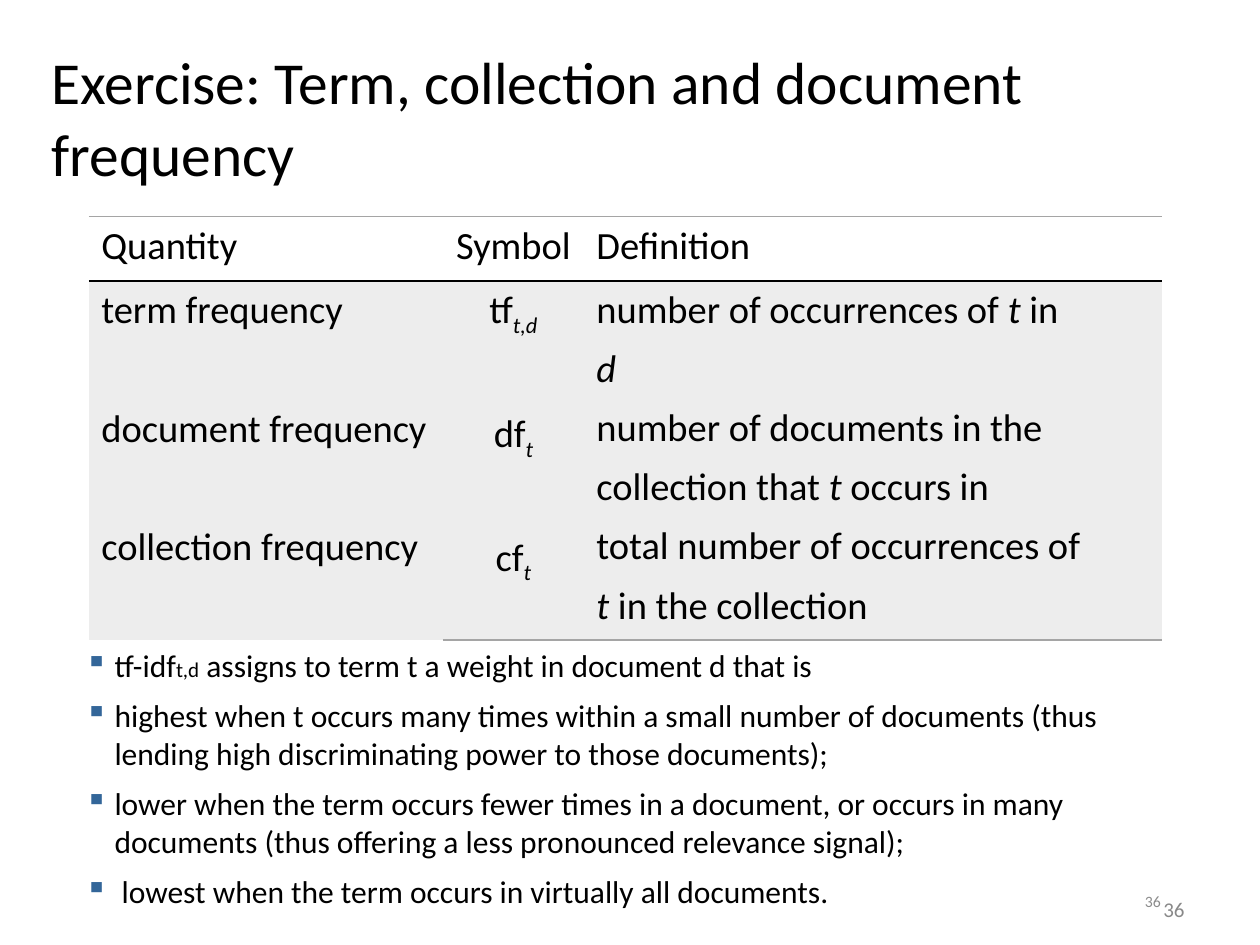
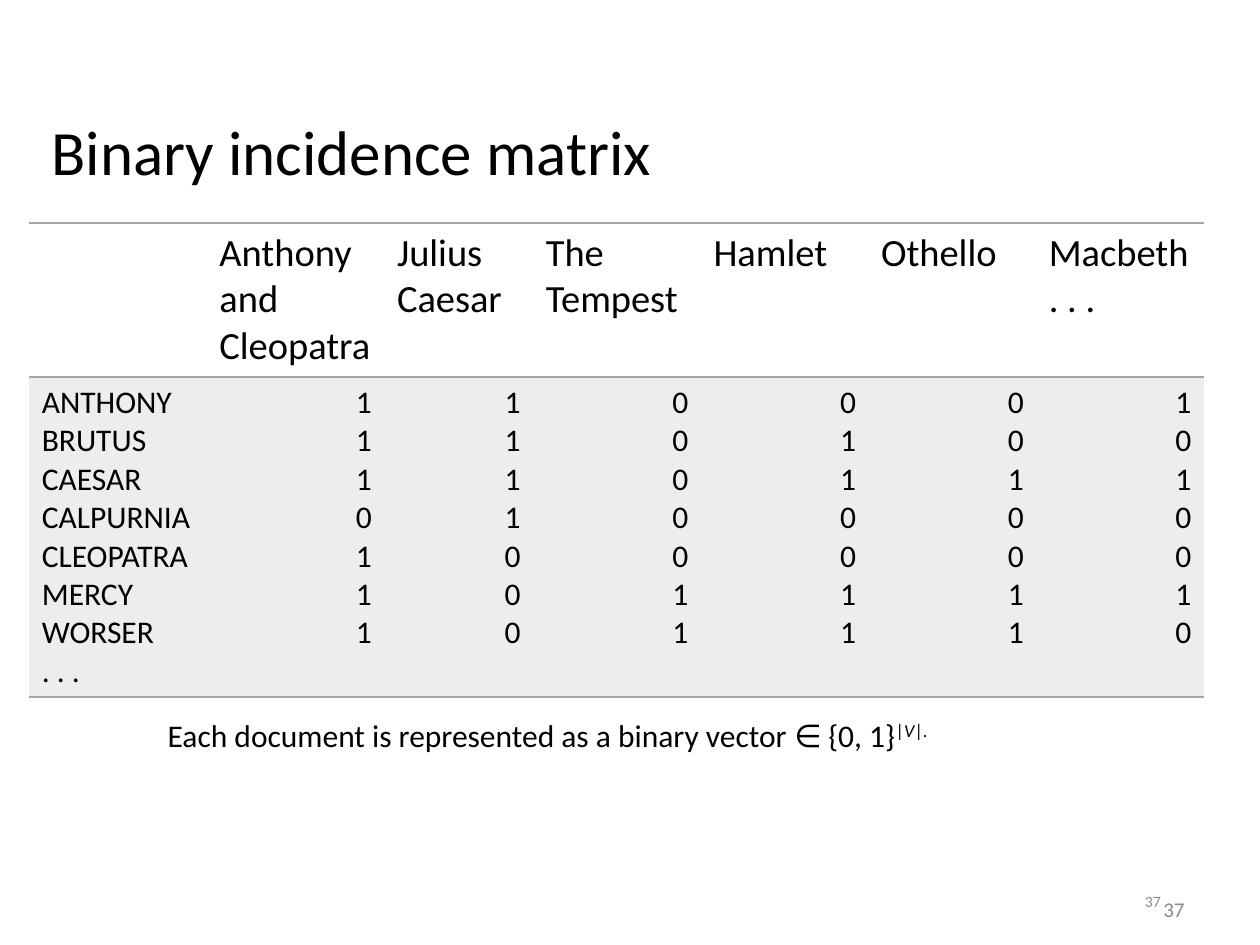
from dataclasses import dataclass

from lxml import etree
from pptx import Presentation
from pptx.dml.color import RGBColor
from pptx.enum.text import MSO_ANCHOR, PP_ALIGN
from pptx.oxml.ns import qn
from pptx.util import Cm, Pt

LEFT, CENTER, RIGHT = PP_ALIGN.LEFT, PP_ALIGN.CENTER, PP_ALIGN.RIGHT
TOP, MIDDLE, BOTTOM = MSO_ANCHOR.TOP, MSO_ANCHOR.MIDDLE, MSO_ANCHOR.BOTTOM

FONT = "Calibri"
BLACK, GREY, BAND = "000000", "A5A5A5", "EDEDED"
NUMBER_GREY, SMALL_NUMBER_GREY, BULLET_BLUE = "898989", "8C8C8C", "336699"
SUBSCRIPT, SUPERSCRIPT = -25, 30


@dataclass
class Area:
    left: float
    top: float
    width: float
    height: float

    def lengths(self) -> list:
        return [Cm(value) for value in (self.left, self.top, self.width, self.height)]


@dataclass
class Span:
    text: str
    italic: bool = False
    baseline: int = 0
    size: float = 0


@dataclass
class Cell:
    lines: list
    size: float = 22
    align: PP_ALIGN = LEFT
    gap: float = 0
    fill: str = ""
    top: str = ""
    bottom: str = ""


def colour(code: str) -> RGBColor:
    return RGBColor.from_string(code)


# Text
def add_bullet(para, margin: float, hang: float) -> None:
    properties = para._p.get_or_add_pPr()
    properties.set("marL", str(Cm(margin)))
    properties.set("indent", str(-Cm(hang)))
    tint = etree.SubElement(properties, qn("a:buClr"))
    etree.SubElement(tint, qn("a:srgbClr"), val=BULLET_BLUE)
    etree.SubElement(properties, qn("a:buChar"), char="▪")


def write_lines(frame, lines: list, size: float, align: PP_ALIGN = LEFT,
                gap: float = 0, code: str = BLACK, bulleted: bool = False,
                margin: float = 0) -> None:
    """Each line is a string or a list of strings and Spans."""
    for index, line in enumerate(lines):
        para = frame.add_paragraph() if index else frame.paragraphs[0]
        if bulleted:
            add_bullet(para, margin=1.27, hang=0.6)
        elif margin:
            para._p.get_or_add_pPr().set("marL", str(Cm(margin)))
        para.alignment = align
        if index and gap:
            para.space_before = Pt(gap)
        for part in [line] if isinstance(line, str) else line:
            span = Span(part) if isinstance(part, str) else part
            run = para.add_run()
            run.text = span.text
            run.font.name = FONT
            run.font.size = Pt(span.size or size)
            run.font.italic = span.italic
            run.font.color.rgb = colour(code)
            if span.baseline:
                run.font._element.set("baseline", str(span.baseline * 1000))


def add_text(page, area: Area, lines: list, size: float,
             anchor: MSO_ANCHOR = TOP, **text_format) -> None:
    frame = page.shapes.add_textbox(*area.lengths()).text_frame
    frame.word_wrap = True
    frame.vertical_anchor = anchor
    write_lines(frame, lines, size, **text_format)


# Tables
def set_border(cell, side: str, code: str) -> None:
    line = etree.SubElement(cell._tc.get_or_add_tcPr(), qn(f"a:{side}"), w=str(Pt(1)))
    if code:
        fill = etree.SubElement(line, qn("a:solidFill"))
        etree.SubElement(fill, qn("a:srgbClr"), val=code)
    else:
        etree.SubElement(line, qn("a:noFill"))


def add_table(page, left: float, top: float, widths: list, heights: list,
              rows: list) -> None:
    area = Area(left, top, sum(widths), sum(heights))
    table = page.shapes.add_table(len(rows), len(widths), *area.lengths()).table
    table.first_row = table.horz_banding = False
    for column, width in zip(table.columns, widths):
        column.width = Cm(width)
    for row, height, contents in zip(table.rows, heights, rows):
        row.height = Cm(height)
        for cell, content in zip(row.cells, contents):
            borders = {"lnL": "", "lnR": "", "lnT": content.top, "lnB": content.bottom}
            for side, code in borders.items():
                set_border(cell, side, code)
            if content.fill:
                cell.fill.solid()
                cell.fill.fore_color.rgb = colour(content.fill)
            else:
                cell.fill.background()
            write_lines(cell.text_frame, content.lines, content.size,
                        content.align, content.gap)


# Parts shared by the slides
def add_page(deck, title: str, title_size: float, title_width: float, number: int):
    page = deck.slides.add_slide(deck.slide_layouts[6])
    add_text(page, Area(18.21, 17.98, 5.92, 0.69), [str(number)], 12, MIDDLE,
             align=RIGHT, code=NUMBER_GREY)
    add_text(page, Area(17.93, 17.65, 5.72, 1.02), [str(number)], 9, MIDDLE,
             align=RIGHT, code=SMALL_NUMBER_GREY)
    add_text(page, Area(0.79, 0.03, title_width, 3.89), [title], title_size, BOTTOM)
    return page


def add_frequency_page(deck) -> None:
    page = add_page(deck, "Exercise: Term, collection and document frequency",
                    34, 24.61, 36)
    term, document = Span("t", italic=True), Span("d", italic=True)
    low_term = Span("t", italic=True, baseline=SUBSCRIPT)
    low_pair = Span("t,d", italic=True, baseline=SUBSCRIPT)

    header = [Cell([label], align=align, top=GREY, bottom=BLACK)
              for label, align in (("Quantity", LEFT), ("Symbol", CENTER),
                                   ("Definition", LEFT))]
    # Quantities and symbols stand on every second line of the definitions
    line_gap, double_gap = 7, 41
    quantities = ["term frequency", "document frequency", "collection frequency"]
    symbols = [["tf", low_pair], ["df", low_term], ["cf", low_term]]
    definitions = [
        ["number of occurrences of ", term, " in"],
        [document],
        "number of documents in the",
        ["collection that ", term, " occurs in"],
        "total number of occurrences of",
        [term, " in the collection"],
    ]
    body = [
        Cell(quantities, gap=double_gap, fill=BAND, top=BLACK),
        Cell(symbols, align=CENTER, gap=double_gap, fill=BAND, top=BLACK, bottom=GREY),
        Cell(definitions, gap=line_gap, fill=BAND, top=BLACK, bottom=GREY),
    ]
    add_table(page, 1.79, 4.36, [7.14, 2.84, 11.66], [1.3, 7.24], [header, body])

    add_text(page, Area(0.79, 12.9, 23.01, 6.1), [
        ["tf-idf", Span("t,d", size=12),
         " assigns to term t a weight in document d that is"],
        "highest when t occurs many times within a small number of documents "
        "(thus lending high discriminating power to those documents);",
        "lower when the term occurs fewer times in a document, or occurs in many "
        "documents (thus offering a less pronounced relevance signal);",
        " lowest when the term occurs in virtually all documents.",
    ], 18, gap=7, bulleted=True)


def add_matrix_page(deck) -> None:
    page = add_page(deck, "Binary incidence matrix", 36, 23.83, 37)
    plays = ["", "Anthony and Cleopatra", "Julius Caesar", "The Tempest",
             "Hamlet", "Othello", "Macbeth . . ."]
    incidence = {
        "ANTHONY": "110001",
        "BRUTUS": "110100",
        "CAESAR": "110111",
        "CALPURNIA": "010000",
        "CLEOPATRA": "100000",
        "MERCY": "101111",
        "WORSER": "101110",
    }
    header = [Cell([play] if play else [], top=GREY, bottom=GREY) for play in plays]
    body = [Cell([*incidence, ". . ."], 18, fill=BAND, top=GREY, bottom=GREY)]
    body += [Cell(list(column), 18, RIGHT, fill=BAND, top=GREY, bottom=GREY)
             for column in zip(*incidence.values())]
    add_table(page, 0.59, 4.5, [3.58, 3.58, 3] + [3.38] * 4, [3.1, 6.45],
              [header, body])

    add_text(page, Area(0.59, 14.3, 23.83, 4.75), [[
        "Each document is represented as a binary vector ∈ {0, 1}",
        Span("|", baseline=SUPERSCRIPT),
        Span("V", italic=True, baseline=SUPERSCRIPT),
        Span("|.", baseline=SUPERSCRIPT),
    ]], 18, margin=2.54)


def main() -> None:
    deck = Presentation()
    deck.slide_width, deck.slide_height = Cm(25.4), Cm(19.05)
    add_frequency_page(deck)
    add_matrix_page(deck)
    deck.save("out.pptx")


if __name__ == "__main__":
    main()
